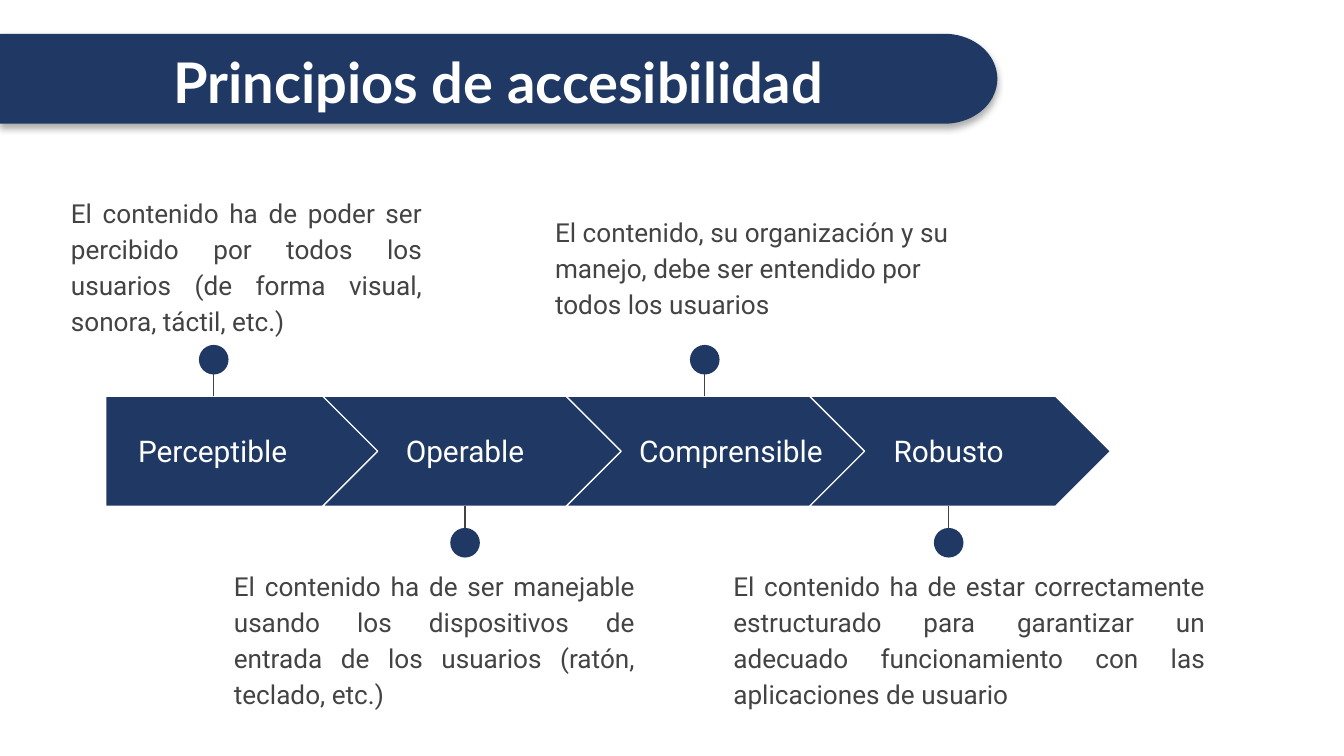
import math
from dataclasses import dataclass

import lxml.etree
import pptx
import pptx.dml.color
import pptx.enum.shapes
import pptx.enum.text
import pptx.oxml.ns
import pptx.util

Cm, Pt = pptx.util.Cm, pptx.util.Pt
RGB = pptx.dml.color.RGBColor.from_string
SHAPE = pptx.enum.shapes.MSO_SHAPE
ALIGN = pptx.enum.text.PP_ALIGN
ANCHOR = pptx.enum.text.MSO_ANCHOR
qn = pptx.oxml.ns.qn


@dataclass(frozen=True)
class Theme:
    navy: str = "1F3864"
    white: str = "FFFFFF"
    grey: str = "434343"
    title_font: str = "Lato"
    body_font: str = "Roboto"
    title_size: int = 30
    label_size: int = 16
    note_size: int = 14
    line_width: float = 0.75


T = Theme()

# Principle: label, label box (left, width), pin centre x, note box, alignment, note
PRINCIPLES = [
    ("Perceptible", (2.0, 4.04), 4.04, (1.09, 3.4, 7.14, 3.2), ALIGN.JUSTIFY,
     "El contenido ha de poder ser percibido por todos los usuarios "
     "(de forma visual, sonora, táctil, etc.)"),
    ("Operable", (6.96, 3.66), 8.79, (4.17, 10.44, 8.08, 3.86), ALIGN.JUSTIFY,
     "El contenido ha de ser manejable usando los dispositivos de entrada "
     "de los usuarios (ratón, teclado, etc.)"),
    ("Comprensible", (11.53, 4.57), 13.32, (10.24, 3.76, 8.31, 2.51), ALIGN.LEFT,
     "El contenido, su organización y su manejo, debe ser entendido "
     "por todos los usuarios"),
    ("Robusto", (16.1, 3.66), 17.93, (13.61, 10.44, 9.42, 4.75), ALIGN.JUSTIFY,
     "El contenido ha de estar correctamente estructurado para garantizar "
     "un adecuado funcionamiento con las aplicaciones de usuario"),
]


def effect_list(parent, shadow=False):
    """Append an effect list: empty, or with a soft shadow falling down."""
    effects = lxml.etree.SubElement(parent, qn("a:effectLst"))
    if shadow:
        outer = lxml.etree.SubElement(
            effects, qn("a:outerShdw"), blurRad=str(Pt(3.5)),
            dist=str(Pt(2.2)), dir="5400000", algn="t", rotWithShape="0")
        color = lxml.etree.SubElement(outer, qn("a:srgbClr"), val="000000")
        lxml.etree.SubElement(color, qn("a:alpha"), val="32000")
    return effects


def paint(sp, outline=None):
    sp.fill.solid()
    sp.fill.fore_color.rgb = RGB(T.navy)
    if outline:
        sp.line.color.rgb = RGB(outline)
        sp.line.width = Pt(T.line_width)
    else:
        sp.line.fill.background()


def add_text(s, box, text, size, color, align, anchor=ANCHOR.MIDDLE,
             font=T.body_font, inset=(0.25, 0.25), bold=False):
    tf = s.shapes.add_textbox(*map(Cm, box)).text_frame
    tf.word_wrap = True
    tf.vertical_anchor = anchor
    tf.margin_left = tf.margin_right = Cm(inset[0])
    tf.margin_top = tf.margin_bottom = Cm(inset[1])
    p = tf.paragraphs[0]
    p.alignment = align
    r = p.add_run()
    r.text = text
    r.font.size = Pt(size)
    r.font.name = font
    r.font.bold = bold
    r.font.color.rgb = RGB(color)
    return p


def add_banner(s, box):
    """Title band with a rounded right end."""
    x, y, w, h = box
    rx, ry = 1.0, h / 2
    arc = [(x + w - rx + rx * math.cos(math.radians(a)),
            y + ry + ry * math.sin(math.radians(a))) for a in range(-90, 91, 5)]
    fb = s.shapes.build_freeform(Cm(x), Cm(y))
    fb.add_line_segments([(Cm(px), Cm(py)) for px, py in arc + [(x, y + h)]])
    sp = fb.convert_to_shape()
    paint(sp)
    effect_list(sp.element.spPr, shadow=True)

    p = add_text(s, (x + 0.43, y + 0.15, w - 0.86, 1.47),
                 "Principios de accesibilidad", T.title_size, T.white,
                 ALIGN.CENTER, font=T.title_font, inset=(0.18, 0.1), bold=True)
    rpr = p.runs[0].font._element
    rpr.find(qn("a:latin")).addprevious(effect_list(rpr, shadow=True))


def add_pin(s, x, edge, up):
    """Dot on a stem, standing on the arrow edge or hanging from it."""
    size = 0.56
    y = edge + (-0.69 if up else 0.69)
    ln = s.shapes.add_connector(pptx.enum.shapes.MSO_CONNECTOR.STRAIGHT,
                                Cm(x), Cm(y), Cm(x), Cm(edge))
    ln.line.color.rgb = RGB(T.grey)
    ln.line.width = Pt(T.line_width)
    effect_list(ln.element.spPr)
    sp = s.shapes.add_shape(SHAPE.OVAL, Cm(x - size / 2), Cm(y - size / 2),
                            Cm(size), Cm(size))
    sp.shadow.inherit = False
    paint(sp)


def add_process(s, box):
    """Row of arrows with notes alternately above and below."""
    x, y, w, h = box
    step = 4.6
    overlap = 0.5
    last_width = w - (len(PRINCIPLES) - 1) * step + overlap
    for i, (label, (lx, lw), pin_x, note_box, align, note) in enumerate(PRINCIPLES):
        # Arrow
        first, up = i == 0, i % 2 == 0
        left = x if first else x + i * step - overlap
        width = last_width - overlap if first else last_width
        sp = s.shapes.add_shape(SHAPE.PENTAGON if first else SHAPE.CHEVRON,
                                Cm(left), Cm(y), Cm(width), Cm(h))
        sp.adjustments[0] = 0.5
        sp.shadow.inherit = False
        paint(sp, T.white)
        # Label, pin and note
        add_text(s, (lx, y + 0.38, lw, 1.3), label, T.label_size, T.white,
                 ALIGN.CENTER)
        add_pin(s, pin_x, y if up else y + h, up)
        p = add_text(s, note_box, note, T.note_size, T.grey, align, ANCHOR.TOP)
        p.line_spacing = 1.15
        p.space_after = Pt(16)


def main():
    prs = pptx.Presentation()
    prs.slide_width, prs.slide_height = Cm(25.4), Cm(14.29)
    s = prs.slides.add_slide(prs.slide_layouts[6])
    add_process(s, (2.0, 7.49, 18.99, 2.08))
    add_banner(s, (0, 0.64, 18.85, 1.7))
    prs.save("out.pptx")


if __name__ == "__main__":
    main()
